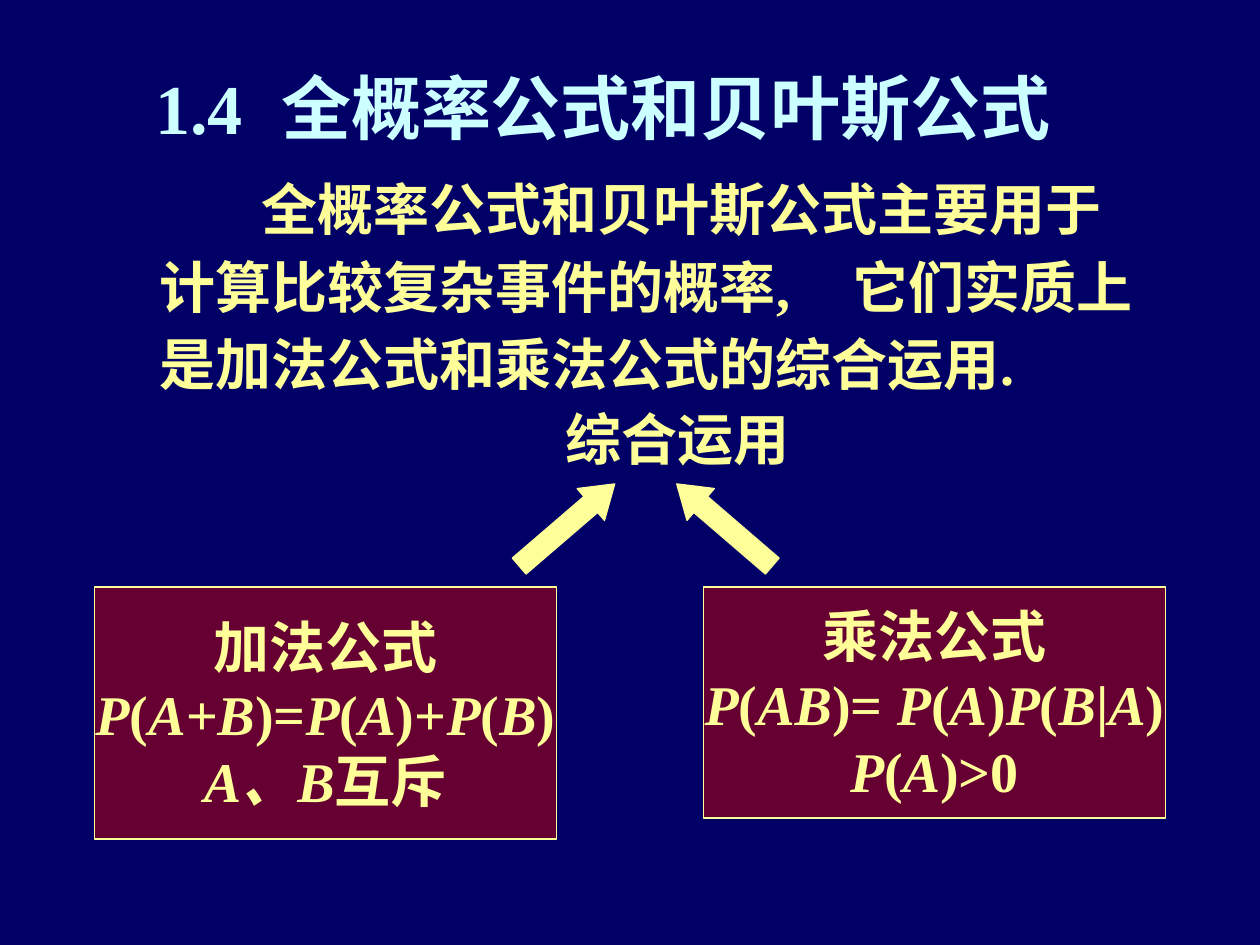
from typing import NamedTuple

from lxml import etree
from pptx import Presentation
from pptx.dml.color import RGBColor
from pptx.enum import shapes, text
from pptx.oxml.ns import qn
from pptx.util import Pt

COLORS = {"back": "000066", "title": "CCFFFF", "text": "FFFF99", "box": "660033"}
FRAME = {"margin_left": Pt(7.2), "margin_right": Pt(7.2),
         "margin_top": Pt(3.6), "margin_bottom": Pt(3.6),
         "auto_size": text.MSO_AUTO_SIZE.NONE}
FONT = {"name": "Times New Roman", "size": Pt(32), "bold": True}
LEFT, CENTER = text.PP_ALIGN.LEFT, text.PP_ALIGN.CENTER
TOP, MIDDLE = text.MSO_ANCHOR.TOP, text.MSO_ANCHOR.MIDDLE


class Box(NamedTuple):
    left: float
    top: float
    width: float
    height: float

    def lengths(self) -> list:
        return [Pt(v) for v in self]


class Formula(NamedTuple):
    box: Box
    lines: list[str]


class Arrow(NamedTuple):
    box: Box
    angle: float


FORMULAS = [
    Formula(Box(54, 335.5, 264, 144),
            ["加法公式", "*P*(*A+B*)=*P*(*A*)+*P*(*B*)", "*A、B*互斥"]),
    Formula(Box(402, 335.5, 264, 132),
            ["乘法公式", "*P*(*AB*)= *P*(*A*)*P*(*B*|*A*)", "*P*(*A*)>0"]),
]
ARROWS = [Arrow(Box(288, 288, 72, 24), 319.3), Arrow(Box(378, 288, 72, 24), 220.7)]


def rgb(key: str) -> RGBColor:
    return RGBColor.from_string(COLORS[key])


def apply(target, values: dict) -> None:
    for name, value in values.items():
        setattr(target, name, value)


def place(sp, box: Box) -> None:
    apply(sp, dict(zip(("left", "top", "width", "height"), box.lengths())))


def write(sp, lines: list[str], align, anchor, wrap: bool = True,
          color: str = "text", **font) -> None:
    tf = sp.text_frame
    apply(tf, FRAME | {"vertical_anchor": anchor, "word_wrap": wrap})
    for i, line in enumerate(lines):
        p = tf.add_paragraph() if i else tf.paragraphs[0]
        apply(p, {"alignment": align, "space_before": Pt(0)})
        for j, part in enumerate(line.split("*")):
            if part:
                r = p.add_run()
                r.text = part
                apply(r.font, FONT | {"italic": j % 2 == 1} | font)
                r.font.color.rgb = rgb(color)


def set_indent(p, first: float, tab: float) -> None:
    pPr = p._p.get_or_add_pPr()
    pPr.set("marL", "0")
    pPr.set("indent", str(Pt(first)))
    etree.SubElement(pPr, qn("a:buNone"))
    tabs = etree.SubElement(pPr, qn("a:tabLst"))
    etree.SubElement(tabs, qn("a:tab"), pos=str(Pt(tab)), algn="l")


def add_filled(s, kind, box: Box, fill: str):
    sp = s.shapes.add_shape(kind, *box.lengths())
    sp.shadow.inherit = False
    sp.fill.solid()
    sp.fill.fore_color.rgb = rgb(fill)
    sp.line.color.rgb = rgb("text")
    sp.line.width = Pt(0.75)
    return sp


def add_formula(s, formula: Formula) -> None:
    sp = add_filled(s, shapes.MSO_SHAPE.RECTANGLE, formula.box, "box")
    write(sp, formula.lines, CENTER, MIDDLE, wrap=False)


def add_arrow(s, arrow: Arrow) -> None:
    sp = add_filled(s, shapes.MSO_SHAPE.RIGHT_ARROW, arrow.box, "text")
    sp.adjustments[0], sp.adjustments[1] = 0.5, 0.75
    sp.rotation = arrow.angle


def main() -> None:
    prs = Presentation()
    apply(prs, {"slide_width": Pt(720), "slide_height": Pt(540)})
    s = prs.slides.add_slide(prs.slide_layouts[1])
    s.background.fill.solid()
    s.background.fill.fore_color.rgb = rgb("back")

    title, body = s.placeholders
    place(title, Box(81.5, 33, 543.5, 55.5))
    write(title, ["1.4\t全概率公式和贝叶斯公式"], LEFT, TOP, wrap=False,
          color="title", size=Pt(40))
    set_indent(title.text_frame.paragraphs[0], 0, 89)

    place(body, Box(84, 90.5, 582, 140))
    write(body, ["全概率公式和贝叶斯公式主要用于计算比较复杂事件的概率,\t"
                 "它们实质上是加法公式和乘法公式的综合运用."], LEFT, TOP)
    p = body.text_frame.paragraphs[0]
    apply(p, {"line_spacing": 1.15, "space_before": Pt(20)})
    set_indent(p, 58, 400)

    label = s.shapes.add_textbox(*Box(288, 227.5, 198, 46).lengths())
    write(label, ["综合运用"], CENTER, MIDDLE)

    for formula in FORMULAS:
        add_formula(s, formula)
    for arrow in ARROWS:
        add_arrow(s, arrow)
    prs.save("out.pptx")


if __name__ == "__main__":
    main()
